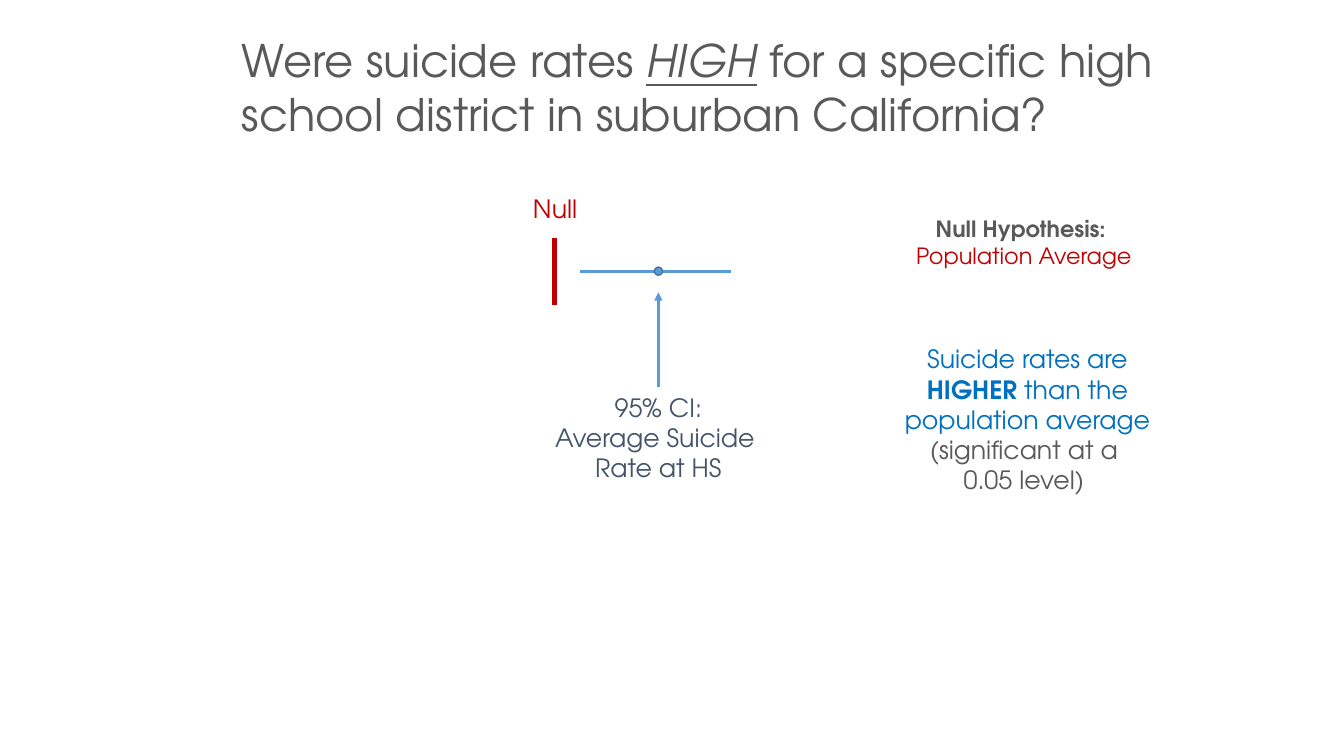
"""Build a slide comparing a school district's suicide rate with the population average."""
from lxml.etree import SubElement
from pptx import Presentation
from pptx.dml.color import RGBColor
from pptx.enum.shapes import MSO_CONNECTOR, MSO_SHAPE
from pptx.enum.text import MSO_AUTO_SIZE, PP_ALIGN
from pptx.oxml.ns import qn
from pptx.util import Inches, Pt

FONT = "TeX Gyre Adventor"
COLORS = {
    "gray": "595959",
    "red": "C00000",
    "blue": "5B9BD5",
    "dark_blue": "43739E",
    "slate": "44546A",
    "bright_blue": "0070C0",
}


def add_text(page, place, size, paragraphs, align=PP_ALIGN.CENTER, wrap=False):
    """Add a text box; each paragraph lists (text, color, styles) runs."""
    box = page.shapes.add_textbox(*[Inches(length) for length in place])
    frame = box.text_frame
    frame.word_wrap = wrap
    frame.auto_size = MSO_AUTO_SIZE.SHAPE_TO_FIT_TEXT
    for index, runs in enumerate(paragraphs):
        para = frame.add_paragraph() if index else frame.paragraphs[0]
        para.alignment = align
        para.font.size = Pt(size)
        for text, color, styles in runs:
            if text == "\n":
                para.add_line_break()
                continue
            span = para.add_run()
            span.text = text
            span.font.name = FONT
            span.font.size = Pt(size)
            span.font.color.rgb = RGBColor.from_string(COLORS[color])
            for style in styles:
                setattr(span.font, style, True)
    return box


def add_line(page, start, end, color, width):
    """Add a straight line without a shadow."""
    points = [Inches(length) for length in start + end]
    line = page.shapes.add_connector(MSO_CONNECTOR.STRAIGHT, *points)
    line.line.color.rgb = RGBColor.from_string(COLORS[color])
    line.line.width = Pt(width)
    SubElement(line._element.spPr, qn("a:effectLst"))
    return line


deck = Presentation()
deck.slide_width = Inches(13.33)
deck.slide_height = Inches(7.5)
page = deck.slides.add_slide(deck.slide_layouts[6])

add_text(page, (2.3, 0.28, 9.25, 1.18), 32, [[
    ("Were suicide rates ", "gray", []),
    ("HIGH", "gray", ["italic", "underline"]),
    (" for a specific high school district in suburban California?", "gray", []),
]], align=PP_ALIGN.LEFT, wrap=True)

add_line(page, (5.5, 2.36), (5.5, 3.03), "red", 3)
add_line(page, (5.75, 2.69), (7.25, 2.69), "blue", 2)

estimate = page.shapes.add_shape(
    MSO_SHAPE.OVAL, Inches(6.49), Inches(2.65), Inches(0.08), Inches(0.08))
estimate.shadow.inherit = False
estimate.fill.solid()
estimate.fill.fore_color.rgb = RGBColor.from_string(COLORS["blue"])
estimate.line.color.rgb = RGBColor.from_string(COLORS["dark_blue"])
estimate.line.width = Pt(1)

interval_label = add_text(page, (5.38, 3.84, 2.3, 1.01), 18, [
    [("95% CI:", "slate", [])],
    [("Average Suicide ", "slate", []), ("\n", "slate", []), ("Rate at HS", "slate", [])],
])
add_text(page, (8.96, 2.09, 2.39, 0.64), 16, [[
    ("Null Hypothesis: ", "gray", ["bold"]),
    ("\n", "gray", []),
    ("Population Average", "red", []),
]])
add_text(page, (5.18, 1.87, 0.65, 0.4), 18, [[("Null", "red", [])]])

arrow = add_line(page, (6.53, 3.84), (6.53, 2.9), "blue", 1.75)
arrow.begin_connect(interval_label, 0)
SubElement(arrow.line._get_or_add_ln(), qn("a:tailEnd"), type="triangle")

add_text(page, (8.72, 3.36, 2.94, 1.62), 18, [
    [
        ("Suicide rates are ", "bright_blue", []),
        ("HIGHER ", "bright_blue", ["bold"]),
        ("than the population average", "bright_blue", []),
    ],
    [("(significant at a ", "gray", [])],
    [("0.05 level) ", "gray", [])],
], wrap=True)

deck.save("out.pptx")
